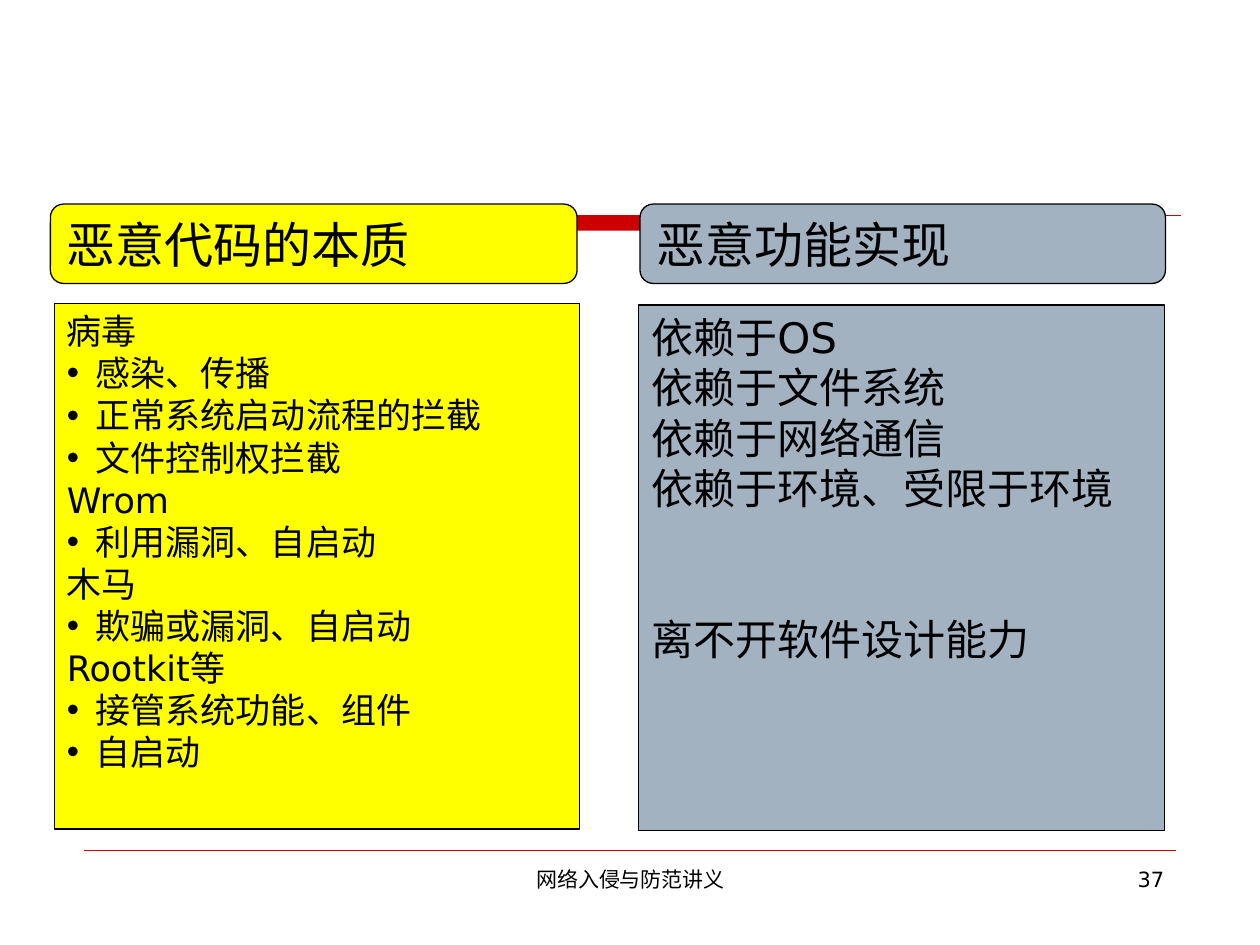
from pptx import Presentation
from pptx import util as u
from pptx.dml.color import RGBColor
from pptx.enum import shapes, text
from pptx.oxml import parse_xml
from pptx.oxml import ns

BLACK = RGBColor(0x00, 0x00, 0x00)
RED = RGBColor(0xCC, 0x00, 0x00)
YELLOW = RGBColor(0xFF, 0xFF, 0x00)
GREY_BLUE = RGBColor(0xA3, 0xB2, 0xC1)
BODY_FONT = "DejaVu Sans"
HEADING_FONT = "Noto Sans CJK JP"

PANELS = [
    dict(heading="恶意代码的本质", heading_box=(0.4, 1.62, 4.18, 0.63), heading_index=1,
         body_box=(0.43, 2.41, 4.17, 4.17), body_index=2, fill=YELLOW, size=20,
         items=[("病毒", ["感染、传播", "正常系统启动流程的拦截", "文件控制权拦截"]),
                ("Wrom", ["利用漏洞、自启动"]),
                ("木马", ["欺骗或漏洞、自启动"]),
                ("Rootkit等", ["接管系统功能、组件", "自启动"])]),
    dict(heading="恶意功能实现", heading_box=(5.08, 1.62, 4.17, 0.63), heading_index=3,
         body_box=(5.07, 2.42, 4.17, 4.17), body_index=4, fill=GREY_BLUE, size=24,
         items=[("依赖于OS", []), ("依赖于文件系统", []), ("依赖于网络通信", []),
                ("依赖于环境、受限于环境", []), ("离不开软件设计能力", [])],
         closing_gap=2),
]


def element(tag, **attributes):
    """Return a new drawing element with the given attributes."""
    pairs = " ".join(f'{name}="{value}"' for name, value in attributes.items())
    return parse_xml(f"<a:{tag} {ns.nsdecls('a')} {pairs}/>")


def apply(target, values):
    """Set every attribute named in values on the target."""
    for name, value in values.items():
        setattr(target, name, value)


def place(shape, box):
    """Move a shape to a box of left, top, width and height in inches."""
    apply(shape, dict(zip(("left", "top", "width", "height"), map(u.Inches, box))))


def paint(shape, fill, line):
    """Give a shape a solid fill and a thin outline."""
    shape.fill.solid()
    shape.fill.fore_color.rgb = fill
    shape.line.color.rgb = line
    shape.line.width = u.Pt(0.75)


def write(paragraph, wording, size, font, **values):
    """Write one run of formatted text into a paragraph."""
    run = paragraph.add_run()
    run.text = wording
    apply(run.font, dict(name=font, size=u.Pt(size), bold=False))
    run.font.color.rgb = BLACK
    run.font._element.find(ns.qn("a:latin")).addnext(element("ea", typeface=font))
    apply(paragraph, dict(space_before=u.Pt(0)) | values)


def set_bullet(paragraph, bulleted):
    """Give a paragraph a hanging round bullet or none."""
    properties = paragraph._p.get_or_add_pPr()
    indent = u.Inches(0.23) if bulleted else 0
    properties.set("marL", str(indent))
    properties.set("indent", str(-indent))
    properties.append(element("buChar", char="•") if bulleted else element("buNone"))


def prepare_frame(shape, anchor):
    """Set wrapping, size fitting and vertical anchor of a text frame."""
    apply(shape.text_frame, dict(word_wrap=True, auto_size=text.MSO_AUTO_SIZE.NONE,
                                 vertical_anchor=anchor))
    return shape.text_frame


def add_rules(slide):
    """Draw the red header bar with its thin rule and the footer rule, behind the panels."""
    bar = slide.shapes.add_shape(shapes.MSO_SHAPE.RECTANGLE, 0, 0, 0, 0)
    place(bar, (0.67, 1.71, 5.09, 0.12))
    bar.shadow.inherit = False
    paint(bar, RED, RED)
    bar.line.fill.background()
    parts = [bar]
    for right, top, width in ((9.37, 1.71, 0.75), (9.33, 6.75, 0.25)):
        rule = slide.shapes.add_connector(shapes.MSO_CONNECTOR.STRAIGHT, u.Inches(0.67),
                                          u.Inches(top), u.Inches(right), u.Inches(top))
        rule.line.color.rgb = RED
        rule.line.width = u.Pt(width)
        rule._element.spPr.append(element("effectLst"))
        parts.append(rule)
    for depth, part in enumerate(parts, start=2):
        slide.shapes._spTree.insert(depth, part._element)


def fill_heading(shape, panel):
    """Turn a text placeholder into a rounded panel heading."""
    place(shape, panel["heading_box"])
    shape._element.spPr.append(element("prstGeom", prst="roundRect"))
    paint(shape, panel["fill"], BLACK)
    paragraph = prepare_frame(shape, text.MSO_ANCHOR.MIDDLE).paragraphs[0]
    write(paragraph, panel["heading"], 28, HEADING_FONT)
    set_bullet(paragraph, False)


def fill_body(shape, panel):
    """Fill a content placeholder with topics and their bulleted points."""
    place(shape, panel["body_box"])
    paint(shape, panel["fill"], BLACK)
    frame = prepare_frame(shape, text.MSO_ANCHOR.TOP)
    pitch = u.Pt(panel["size"] * 1.2)
    rows = [(wording, level) for topic, points in panel["items"]
            for wording, level in [(topic, False)] + [(point, True) for point in points]]
    for number, (wording, bulleted) in enumerate(rows):
        paragraph = frame.add_paragraph() if number else frame.paragraphs[0]
        write(paragraph, wording, panel["size"], BODY_FONT, line_spacing=pitch)
        set_bullet(paragraph, bulleted)
    paragraph.space_before = pitch * panel.get("closing_gap", 0)


def add_footer(slide, wording, box, alignment):
    """Add one line of footer text."""
    shape = slide.shapes.add_textbox(0, 0, 0, 0)
    place(shape, box)
    frame = prepare_frame(shape, text.MSO_ANCHOR.TOP)
    write(frame.paragraphs[0], wording, 12, BODY_FONT, alignment=alignment)


def main():
    """Build the comparison slide and save it."""
    presentation = Presentation()
    apply(presentation, dict(slide_width=u.Inches(10), slide_height=u.Inches(7.5)))
    slide = presentation.slides.add_slide(presentation.slide_layouts[4])
    title = slide.shapes.title._element
    title.getparent().remove(title)
    add_rules(slide)
    placeholders = {shape.placeholder_format.idx: shape for shape in slide.placeholders}
    for panel in PANELS:
        fill_heading(placeholders[panel["heading_index"]], panel)
        fill_body(placeholders[panel["body_index"]], panel)
    add_footer(slide, "网络入侵与防范讲义", (3.42, 6.83, 3.17, 0.52), text.PP_ALIGN.CENTER)
    add_footer(slide, "37", (7.17, 6.83, 2.17, 0.52), text.PP_ALIGN.RIGHT)
    presentation.save("out.pptx")


if __name__ == "__main__":
    main()
